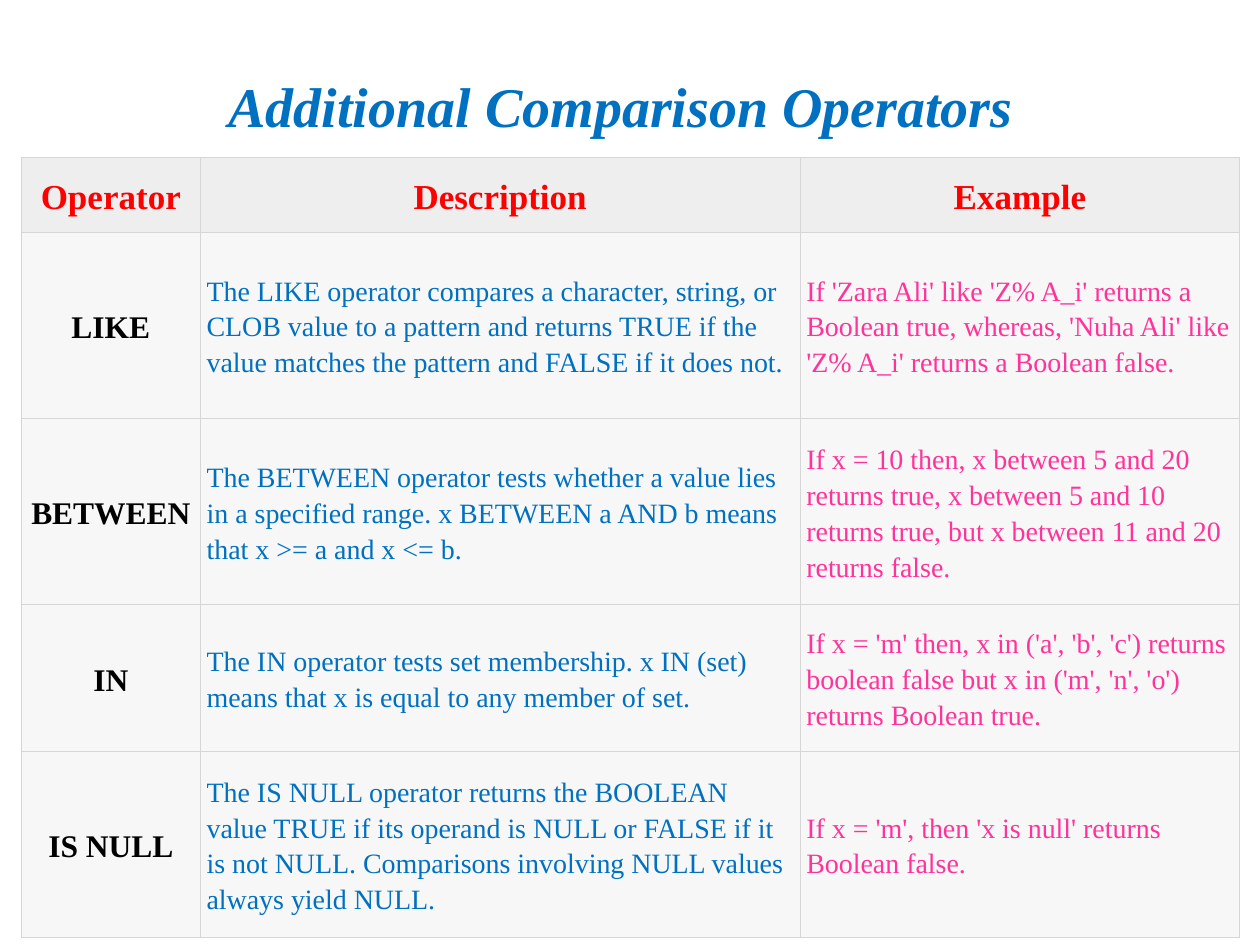
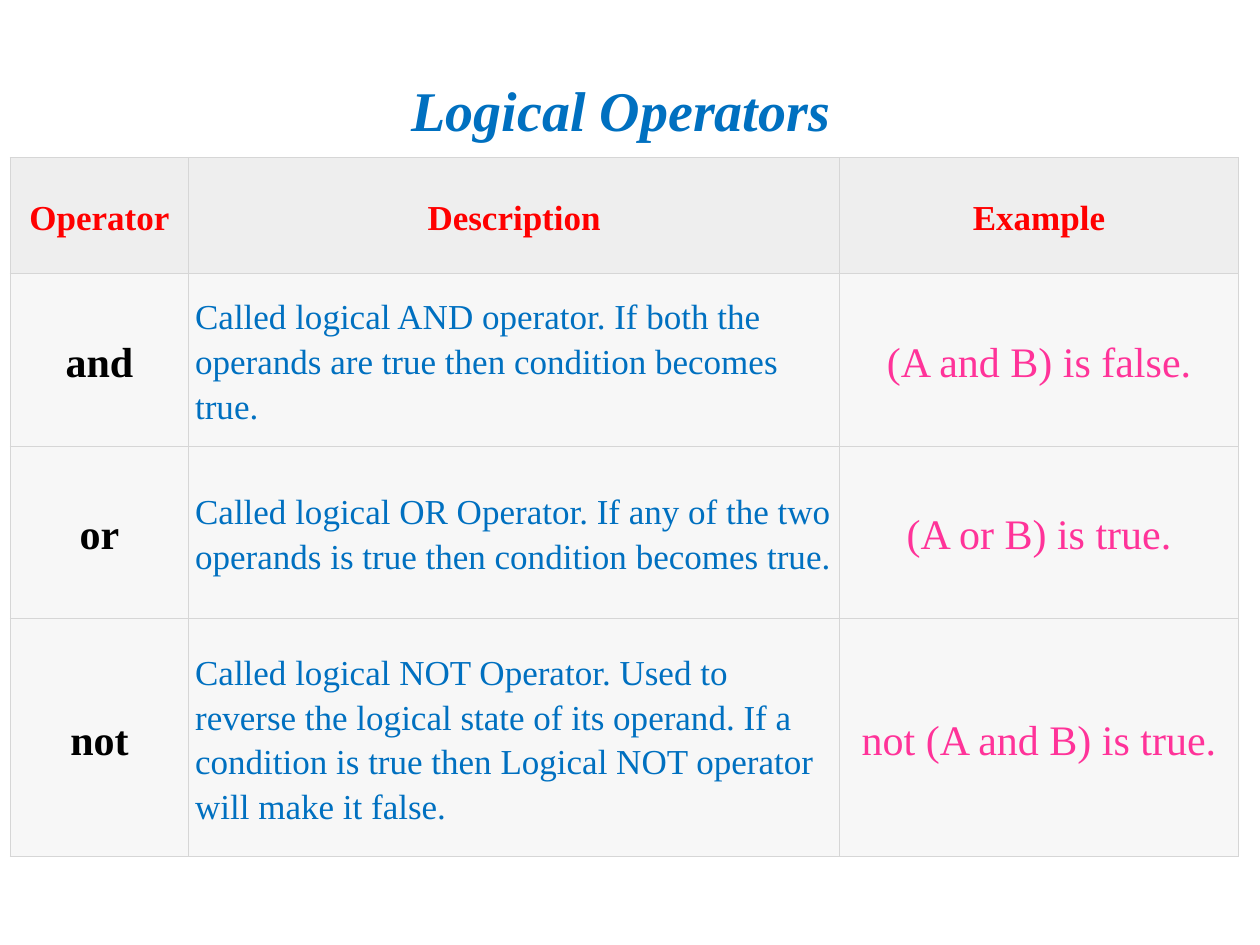
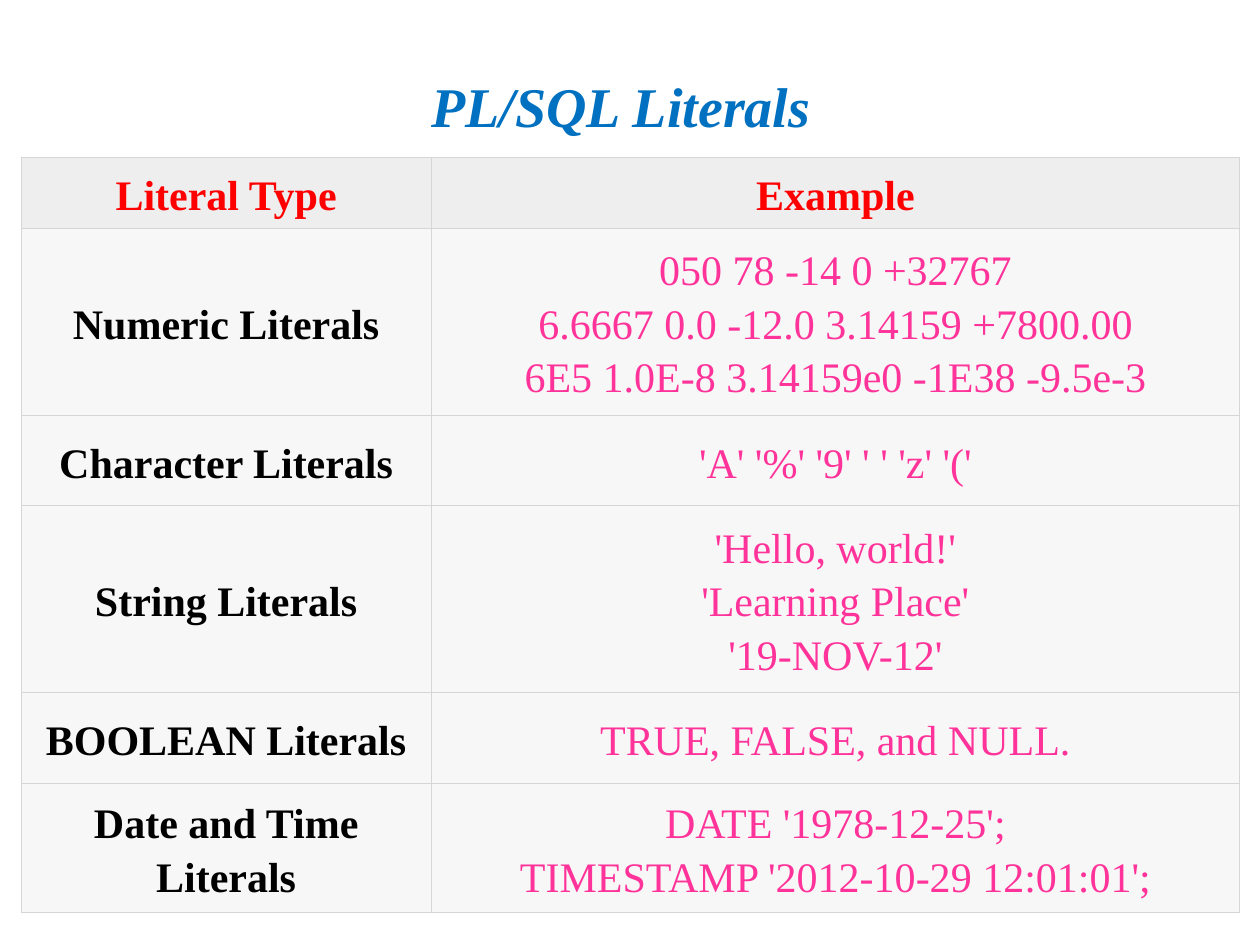
from dataclasses import dataclass
from lxml.etree import SubElement as Sub
from pptx import Presentation
from pptx.dml.color import RGBColor as RGB
from pptx.enum.text import MSO_ANCHOR as Anchor, PP_ALIGN as Align
from pptx.oxml.ns import qn
from pptx.util import Inches, Pt


@dataclass(frozen=True)
class Theme:
    font: str = "Times New Roman"
    blue: str = "0070C0"
    red: str = "FF0000"
    pink: str = "FF3399"
    black: str = "000000"
    head: str = "EEEEEE"
    body: str = "F7F7F7"
    rule: str = "D6D6D6"
    thin: float = 0.45
    pad: float = 0.05
    title: int = 32
    large: int = 24
    mid: int = 20
    name: int = 18
    small: int = 16


@dataclass(frozen=True)
class Style:
    size: int
    color: str
    bold: bool = False
    italic: bool = False
    align: Align = Align.CENTER
    lead: float = 1.15


T = Theme()
WIDE, HIGH = Inches(10), Inches(7.5)
TITLE = Style(T.title, T.blue, bold=True, italic=True, lead=0.97)


def place(left, top, width, height):
    """Turn percentages of the slide into lengths."""
    return [round(share * side / 100) for share, side in
            zip((left, top, width, height), (WIDE, HIGH, WIDE, HIGH))]


def write(frame, text, style):
    para = frame.paragraphs[0]
    para.text = text
    para.alignment, para.line_spacing = style.align, style.lead
    font = para.font
    font.name, font.size = T.font, Pt(style.size)
    font.bold, font.italic = style.bold, style.italic
    font.color.rgb = RGB.from_string(style.color)


def add_title(slide, text, top, height):
    box = slide.shapes.add_textbox(*place(5, top, 88.6, height))
    frame = box.text_frame
    frame.word_wrap = True
    frame.vertical_anchor = Anchor.MIDDLE
    write(frame, text, TITLE)


def add_rules(cell):
    props = cell._tc.get_or_add_tcPr()
    for side in ("lnL", "lnR", "lnT", "lnB"):
        line = Sub(props, qn(f"a:{side}"), w=str(int(Pt(T.thin))))
        Sub(Sub(line, qn("a:solidFill")), qn("a:srgbClr"), val=T.rule)


def fill_cell(cell, text, style, back):
    cell.margin_left = cell.margin_right = Inches(T.pad)
    cell.margin_top = cell.margin_bottom = Inches(T.pad)
    cell.vertical_anchor = Anchor.MIDDLE
    add_rules(cell)
    cell.fill.solid()
    cell.fill.fore_color.rgb = RGB.from_string(back)
    write(cell.text_frame, text, style)


def share_out(parts, weights, whole):
    """Split a length among columns or rows by weight."""
    return [(part, round(whole * weight / sum(weights)))
            for part, weight in zip(parts, weights)]


def add_grid(slide, box, cols, rows, data, head, styles):
    left, top, width, height = place(*box)
    table = slide.shapes.add_table(len(rows), len(cols),
                                   left, top, width, height).table
    table.first_row = table.horz_banding = False
    for col, size in share_out(table.columns, cols, width):
        col.width = size
    for row, size in share_out(table.rows, rows, height):
        row.height = size
    for r, line in enumerate(data):
        for c, text in enumerate(line):
            style, back = (styles[c], T.body) if r else (head, T.head)
            fill_cell(table.cell(r, c), text, style, back)


# Title position, table box in percent, weights, text and column styles
PAGES = [
    dict(
        title=("Additional Comparison Operators", 4, 14.93),
        box=(1.7, 16.67, 96.7, 82.53),
        cols=(1.42, 4.76, 3.49), rows=(0.59, 1.48, 1.48, 1.16, 1.48),
        head=Style(T.mid, T.red, bold=True),
        styles=(Style(T.name, T.black, bold=True),
                Style(T.small, T.blue, align=Align.LEFT),
                Style(T.small, T.pink, align=Align.LEFT)),
        data=[
            ("Operator", "Description", "Example"),
            ("LIKE",
             "The LIKE operator compares a character, string, or CLOB value to "
             "a pattern and returns TRUE if the value matches the pattern and "
             "FALSE if it does not.",
             "If 'Zara Ali' like 'Z% A_i' returns a Boolean true, whereas, "
             "'Nuha Ali' like 'Z% A_i' returns a Boolean false."),
            ("BETWEEN",
             "The BETWEEN operator tests whether a value lies in a specified "
             "range. x BETWEEN a AND b means that x >= a and x <= b.",
             "If x = 10 then, x between 5 and 20 returns true, x between 5 and "
             "10 returns true, but x between 11 and 20 returns false."),
            ("IN",
             "The IN operator tests set membership. x IN (set) means that x is "
             "equal to any member of set.",
             "If x = 'm' then, x in ('a', 'b', 'c') returns boolean false but "
             "x in ('m', 'n', 'o') returns Boolean true."),
            ("IS NULL",
             "The IS NULL operator returns the BOOLEAN value TRUE if its "
             "operand is NULL or FALSE if it is not NULL. Comparisons "
             "involving NULL values always yield NULL.",
             "If x = 'm', then 'x is null' returns Boolean false."),
        ]),
    dict(
        title=("Logical Operators", 3.33, 17.07),
        box=(0.8, 16.67, 97.5, 74),
        cols=(1.42, 5.17, 3.17), rows=(0.92, 1.37, 1.37, 1.89),
        head=Style(T.mid, T.red, bold=True),
        styles=(Style(T.large, T.black, bold=True),
                Style(T.mid, T.blue, align=Align.LEFT),
                Style(T.large, T.pink)),
        data=[
            ("Operator", "Description", "Example"),
            ("and",
             "Called logical AND operator. If both the operands are true then "
             "condition becomes true.",
             "(A and B) is false."),
            ("or",
             "Called logical OR Operator. If any of the two operands is true "
             "then condition becomes true.",
             "(A or B) is true."),
            ("not",
             "Called logical NOT Operator. Used to reverse the logical state "
             "of its operand. If a condition is true then Logical NOT operator "
             "will make it false.",
             "not (A and B) is true."),
        ]),
    dict(
        title=("PL/SQL Literals", 5.6, 11.6),
        box=(1.7, 16.67, 96.7, 79.87),
        cols=(3.25, 6.42), rows=(0.56, 1.48, 0.72, 1.48, 0.72, 1.02),
        head=Style(T.large, T.red, bold=True),
        styles=(Style(T.large, T.black, bold=True),
                Style(T.large, T.pink)),
        data=[
            ("Literal Type", "Example"),
            ("Numeric Literals",
             "050 78 -14 0 +32767\n"
             "6.6667 0.0 -12.0 3.14159 +7800.00\n"
             "6E5 1.0E-8 3.14159e0 -1E38 -9.5e-3"),
            ("Character Literals", "'A' '%' '9' ' ' 'z' '('"),
            ("String Literals",
             "'Hello, world!'\n'Learning Place'\n'19-NOV-12'"),
            ("BOOLEAN Literals", "TRUE, FALSE, and NULL."),
            ("Date and Time Literals",
             "DATE '1978-12-25';\nTIMESTAMP '2012-10-29 12:01:01';"),
        ]),
]


def add_page(deck, title, **grid):
    slide = deck.slides.add_slide(deck.slide_layouts[6])
    add_title(slide, *title)
    add_grid(slide, **grid)


def main():
    deck = Presentation()
    deck.slide_width, deck.slide_height = WIDE, HIGH
    for page in PAGES:
        add_page(deck, **page)
    deck.save("out.pptx")


if __name__ == "__main__":
    main()
